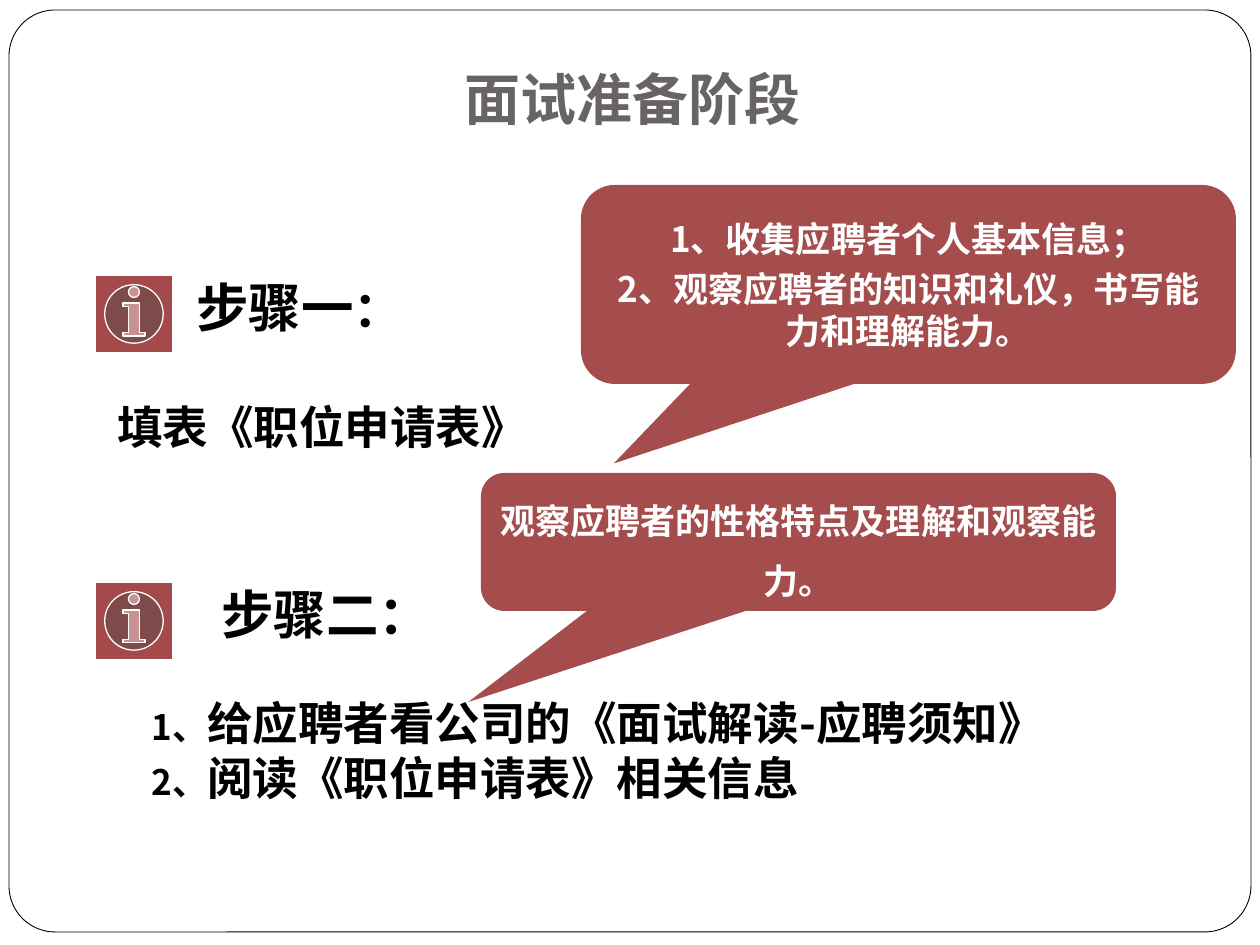
from lxml.etree import SubElement
from pptx import Presentation
from pptx.dml.color import RGBColor
from pptx.enum.shapes import MSO_SHAPE as Preset
from pptx.enum.text import MSO_ANCHOR as Anchor, PP_ALIGN as Align
from pptx.oxml.ns import qn
from pptx.util import Emu, Pt

# Content: boxes are left, top, width, height in px
PX = 914400 // 126
COLORS = {"paper": "FFFFFF", "ink": "000000", "title": "696464", "accent": "800000"}
CJK, LATIN = "Noto Sans CJK SC", "Roboto"

FRAME = (9, 10, 1242, 922)
TITLE = ("面试准备阶段", (164, 76, 937, 69))
ICONS = [(95, 275, 78, 78), (95, 582, 78, 78)]

# Each paragraph is a list of (text, size) runs
STEP_TEXTS = [
    ((184, 237, 218, 139), [[("步骤一", 30), ("：", 28)]]),
    ((105, 388, 581, 76), [[("填表《职位申请表》", 26)]]),
    ((209, 576, 247, 76), [[("步骤二：", 30)]]),
    ((139, 689, 945, 122), [
        [("1、", 20), ("给应聘者看公司的《面试解读-应聘须知》", 26)],
        [("2、", 20), ("阅读《职位申请表》相关信息", 26)],
    ]),
]
CALLOUTS = [
    {"box": (581, 185, 655, 199), "pointer": (-0.45, 0.9), "format": {"space_before": Pt(5)},
     "paragraphs": [[("1、收集应聘者个人基本信息；", 20)],
                    [("2、观察应聘者的知识和礼仪，书写能力和理解能力。", 20)]]},
    {"box": (481, 473, 635, 138), "pointer": (-0.52, 1.16), "format": {"line_spacing": Pt(34)},
     "paragraphs": [[("观察应聘者的性格特点及理解和观察能力。", 20)]]},
]


def color(name):
    return RGBColor.from_string(COLORS[name])


def emu(box):
    return [Emu(value * PX) for value in box]


def set_text(shape, paragraphs, ink, face=CJK, anchor=Anchor.MIDDLE, **formats):
    frame = shape.text_frame
    frame.word_wrap = True
    frame.vertical_anchor = anchor
    for index, runs in enumerate(paragraphs):
        paragraph = frame.add_paragraph() if index else frame.paragraphs[0]
        for name, value in formats.items():
            if index or name != "space_before":
                setattr(paragraph, name, value)
        for text, size in runs:
            run = paragraph.add_run()
            run.text = text
            for name, value in {"size": Pt(size), "bold": True, "name": face}.items():
                setattr(run.font, name, value)
            run.font.color.rgb = color(ink)
            SubElement(run.font._element, qn("a:ea"), typeface=face)


def add_preset(slide, preset, box, fill, alpha=100, line=None, width=0.75):
    shape = slide.shapes.add_shape(preset, *emu(box))
    shape.shadow.inherit = False
    shape.fill.solid()
    shape.fill.fore_color.rgb = color(fill)
    if alpha < 100:
        tint = shape.fill._xPr.find(qn("a:solidFill"))[0]
        SubElement(tint, qn("a:alpha"), val=str(alpha * 1000))
    if line:
        shape.line.color.rgb = color(line)
        shape.line.width = Pt(width)
    else:
        shape.line.fill.background()
    return shape


presentation = Presentation()
presentation.slide_width, presentation.slide_height = emu((1260, 945))
slide = presentation.slides.add_slide(presentation.slide_layouts[5])

# Frame behind everything
frame = add_preset(slide, Preset.ROUNDED_RECTANGLE, FRAME, "paper", line="ink", width=0.5)
frame.adjustments[0] = 0.05
slide.shapes._spTree.insert(2, frame._element)

# Title
text, box = TITLE
title = slide.shapes.title
title.left, title.top, title.width, title.height = emu(box)
title.text_frame.margin_bottom = Emu(13 * PX)
set_text(title, [[(text, 32)]], "title", LATIN, Anchor.BOTTOM, alignment=Align.CENTER)

# Steps with their icons
for box, paragraphs in STEP_TEXTS:
    set_text(slide.shapes.add_textbox(*emu(box)), paragraphs, "ink")
for box in ICONS:
    add_preset(slide, Preset.ACTION_BUTTON_INFORMATION, box, "accent", 71, "paper")

# Callouts
for callout in CALLOUTS:
    shape = add_preset(slide, Preset.ROUNDED_RECTANGULAR_CALLOUT, callout["box"], "accent", 70)
    for index, value in enumerate((*callout["pointer"], 0.17)):
        shape.adjustments[index] = value
    set_text(shape, callout["paragraphs"], "paper", alignment=Align.CENTER, **callout["format"])

presentation.save("out.pptx")
